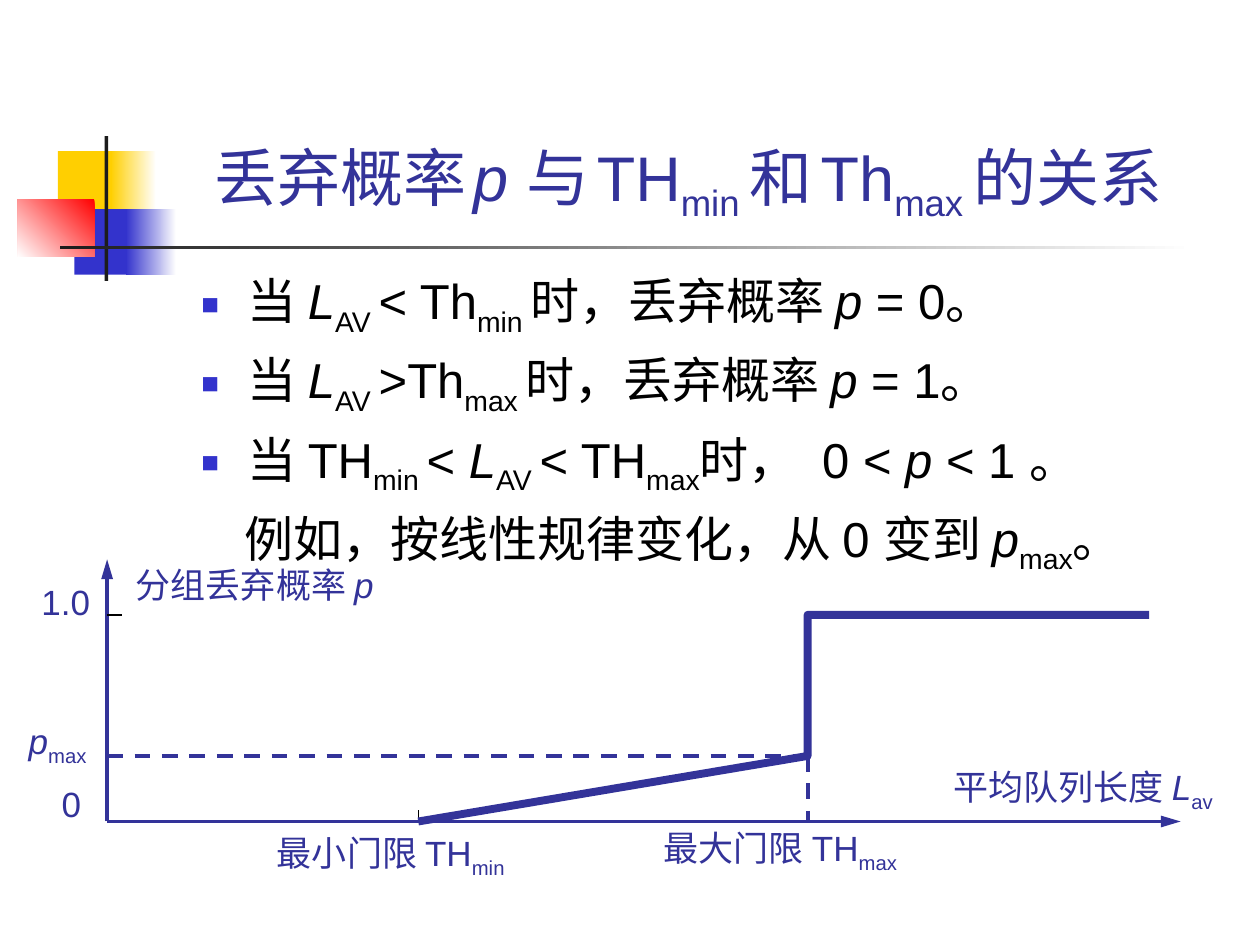
from lxml import etree
from pptx import Presentation
from pptx.dml.color import RGBColor
from pptx.enum.dml import MSO_LINE
from pptx.enum.shapes import MSO_CONNECTOR, MSO_SHAPE
from pptx.enum.text import MSO_ANCHOR, MSO_AUTO_SIZE, PP_ALIGN
from pptx.oxml.ns import qn
from pptx.util import Emu, Pt

PX = 9144  # 100 px to the inch
TITLE_ONLY = 5
RECT, STRAIGHT = MSO_SHAPE.RECTANGLE, MSO_CONNECTOR.STRAIGHT
DASH = MSO_LINE.DASH
LEFT, CENTER = PP_ALIGN.LEFT, PP_ALIGN.CENTER
TOP, BOTTOM = MSO_ANCHOR.TOP, MSO_ANCHOR.BOTTOM
NO_FIT = MSO_AUTO_SIZE.NONE

INK, BLUE, BLACK = "333399", "3333CC", "000000"
WHITE, YELLOW, RED, DARK = "FFFFFF", "FFCF01", "FF0000", "1C1C1C"
ITALIC, SUB, WIDE = "italic", "sub", "wide"


def px(*lengths):
    return [Emu(length * PX) for length in lengths]


def rgb(code):
    return RGBColor.from_string(code)


def add_element(parent, tag, **attributes):
    return etree.SubElement(parent, qn(tag), attributes)


def write_spans(para, spans, size=20, color=INK):
    """Each span is plain text, or (text, style) where style is a name or a size."""
    for item in spans:
        text, style = (item, None) if isinstance(item, str) else item
        span = para.add_run()
        span.text = text
        font = span.font
        font.name, font.color.rgb = "Arial", rgb(color)
        font.size = Pt(style if isinstance(style, int) else size)
        font.italic = style == ITALIC
        if style == SUB:
            font._element.set("baseline", "-25000")
        elif style == WIDE:
            font._element.set("spc", "780")


def set_frame(frame, wrap=True, anchor=TOP):
    frame.word_wrap, frame.auto_size = wrap, NO_FIT
    frame.vertical_anchor = anchor
    frame.margin_left, frame.margin_right = px(10, 10)
    frame.margin_top, frame.margin_bottom = px(5, 5)


def add_label(page, box, *spans):
    frame = page.shapes.add_textbox(*px(*box)).text_frame
    set_frame(frame, wrap=False)
    write_spans(frame.paragraphs[0], spans)


def add_block(page, box, color, fade=None, angle=0):
    block = page.shapes.add_shape(RECT, *px(*box))
    block.shadow.inherit = False
    block.line.fill.background()
    if fade is None:
        block.fill.solid()
        block.fill.fore_color.rgb = rgb(color)
    else:
        block.fill.gradient()
        block.fill.gradient_angle = angle
        for stop, code in zip(block.fill.gradient_stops, (color, fade)):
            stop.color.rgb = rgb(code)


def add_line(page, start, end, color=INK, width=2.25, dash=None, arrow=False):
    line = page.shapes.add_connector(STRAIGHT, *px(*start, *end))
    line.line.color.rgb = rgb(color)
    line.line.width = Pt(width)
    if dash:
        line.line.dash_style = dash
    properties = line._element.spPr
    if arrow:
        add_element(properties.find(qn("a:ln")), "a:tailEnd",
                    type="triangle", w="med", len="lg")
    add_element(properties, "a:effectLst")


def draw_ornament(page, left, top):
    # Coloured squares, then the two crossing bars
    parts = [
        ((32, 12, 48, 52), YELLOW),
        ((74, 12, 36, 52), WHITE, YELLOW, 180),
        ((45, 58, 46, 52), BLUE),
        ((86, 58, 40, 52), WHITE, BLUE, 180),
        ((0, 50, 61, 46), RED, WHITE, 225),
        ((69, 0, 3, 115), DARK),
        ((34, 87, 900, 3), WHITE, DARK, 180),
    ]
    for (x, y, width, height), *colors in parts:
        add_block(page, (left + x, top + y, width, height), *colors)


def write_title(page, box):
    title = page.shapes.title
    title.left, title.top, title.width, title.height = px(*box)
    set_frame(title.text_frame, anchor=BOTTOM)
    para = title.text_frame.paragraphs[0]
    para.alignment = CENTER
    write_spans(para, ["丢弃概率", (" ", 18), ("p ", ITALIC), "与", (" ", 20),
                       "TH", ("min ", SUB), "和", (" ", 20),
                       "Th", ("max ", SUB), "的关系 "], size=36)


def write_rules(page, box):
    length = [("L", ITALIC), ("AV ", SUB)]
    rules = [
        ["当 ", *length, "< Th", ("min ", SUB), "时，丢弃概率 ", ("p", ITALIC), " = 0。"],
        ["当 ", *length, ">Th", ("max ", SUB), "时，丢弃概率 ", ("p", ITALIC), " = 1。"],
        ["当 TH", ("min ", SUB), "< ", *length, "< TH", ("max", SUB), "时，",
         (" ", WIDE), "0 < ", ("p ", ITALIC), "< 1 。"],
        ["例如，按线性规律变化，从 0 变到 ", ("p", ITALIC), ("max", SUB), "。"],
    ]
    frame = page.shapes.add_textbox(*px(*box)).text_frame
    set_frame(frame)
    for index, spans in enumerate(rules):
        para = frame.add_paragraph() if index else frame.paragraphs[0]
        para.alignment = LEFT
        para.space_before = Pt(7 if index else 0)
        bulleted = index < 3
        indent = 37 if bulleted else 34
        properties = para._p.get_or_add_pPr()
        properties.set("marL", str(indent * PX))
        properties.set("indent", str(-indent * PX if bulleted else 0))
        if bulleted:
            add_element(add_element(properties, "a:buClr"), "a:srgbClr", val=BLUE)
            add_element(properties, "a:buSzPct", val="60000")
            add_element(properties, "a:buFont", typeface="Arial")
            add_element(properties, "a:buChar", char="■")
        else:
            add_element(properties, "a:buNone")
        write_spans(para, spans, size=28, color=BLACK)


def draw_graph(page, left, top, width, height):
    # Positions of the thresholds and probabilities
    bottom, right = top + height, left + width
    low, high, curve_end = left + 247, left + 556, left + 827
    one, p_max = top + 44, top + 156

    # Axes
    add_line(page, (left, bottom), (right, bottom), arrow=True)
    add_line(page, (left, bottom), (left, top), arrow=True)

    # Axis and threshold labels
    add_label(page, (left + 125, bottom + 3, 207, 48), "最小门限 TH", ("min", SUB))
    add_label(page, (left + 432, bottom - 1, 212, 48), "最大门限 TH", ("max", SUB))
    add_label(page, (left + 662, bottom - 49, 232, 48),
              "平均队列长度 ", ("L", ITALIC), ("av", SUB))
    add_label(page, (left + 13, top - 2, 216, 44), "分组丢弃概率 ", ("p", ITALIC))

    # Guides and ticks
    add_line(page, (high, p_max), (high, bottom), dash=DASH)
    add_line(page, (low, bottom - 9), (low, bottom), color=BLACK, width=0.75)
    add_line(page, (left, one), (left + 12, one), color=BLACK, width=0.75)
    add_line(page, (left, p_max), (high, p_max), dash=DASH)

    # Probability curve
    builder = page.shapes.build_freeform(low, bottom, scale=PX)
    builder.add_line_segments([(high, p_max), (high, one), (curve_end, one)], close=False)
    curve = builder.convert_to_shape()
    curve.shadow.inherit = False
    curve.fill.background()
    curve.line.color.rgb = rgb(INK)
    curve.line.width = Pt(4.5)

    # Values beside the vertical axis
    add_label(page, (left - 62, one - 32, 58, 44), "1.0")
    add_label(page, (left - 46, bottom - 36, 35, 44), "0")
    add_label(page, (left - 72, p_max - 34, 66, 48), ("p", ITALIC), ("max", SUB))


def main():
    deck = Presentation()
    deck.slide_width, deck.slide_height = px(1000, 750)
    page = deck.slides.add_slide(deck.slide_layouts[TITLE_ONLY])
    draw_ornament(page, 14, 108)
    write_title(page, (126, 23, 852, 160))
    draw_graph(page, 85, 444, 852, 208)
    write_rules(page, (150, 210, 850, 260))
    deck.save("out.pptx")


if __name__ == "__main__":
    main()
